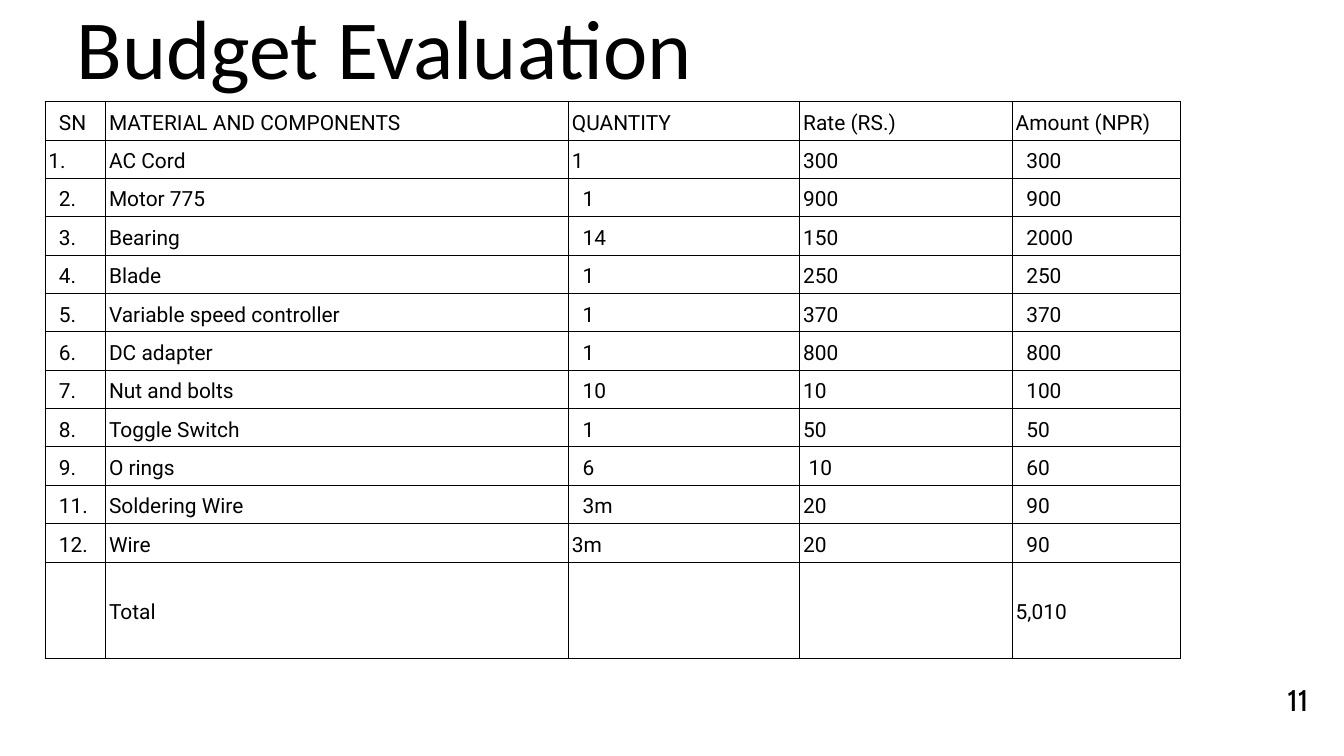
from lxml import etree
from pptx import Presentation
from pptx.dml.color import RGBColor
from pptx.enum.text import MSO_ANCHOR, PP_ALIGN
from pptx.oxml.ns import qn
from pptx.util import Cm, Pt

MIDDLE = MSO_ANCHOR.MIDDLE
LEFT, CENTER = PP_ALIGN.LEFT, PP_ALIGN.CENTER
BLACK = RGBColor(0, 0, 0)

COLUMN_WIDTHS = (2.29, 17.5, 8.74, 8.03, 6.35)
ITEM_HEIGHT, TOTAL_HEIGHT = 1.45, 3.66
CELL_INSET = 0.13

BUDGET = [
    ("SN", "MATERIAL AND COMPONENTS", "QUANTITY", "Rate (RS.)", "Amount (NPR)"),
    ("1.", "AC Cord", "1", "300", "300"),
    ("2.", "Motor 775", "1", "900", "900"),
    ("3.", "Bearing", "14", "150", "2000"),
    ("4.", "Blade", "1", "250", "250"),
    ("5.", "Variable speed controller", "1", "370", "370"),
    ("6.", "DC adapter", "1", "800", "800"),
    ("7.", "Nut and bolts", "10", "10", "100"),
    ("8.", "Toggle Switch", "1", "50", "50"),
    ("9.", "O rings", "6", "10", "60"),
    ("11.", "Soldering Wire", "3m", "20", "90"),
    ("12.", "Wire", "3m", "20", "90"),
    ("", "Total", "", "", "5,010"),
]

# Column: (rows set in from the left, indent in cm)
INDENTS = {
    0: ((0, *range(2, 12)), 0.4),
    2: (range(2, 11), 0.4),
    3: ((9,), 0.2),
    4: (range(1, 12), 0.4),
}


def style_paragraph(para, font_name, size, line_height):
    para.line_spacing = Pt(line_height)
    para.font.name = font_name
    para.font.size = Pt(size)
    para.font.color.rgb = BLACK


def add_text(page, box, text, font_name, size, line_height, align=LEFT):
    frame = page.shapes.add_textbox(*(Cm(length) for length in box)).text_frame
    frame.word_wrap = True
    frame.margin_left = frame.margin_right = 0
    frame.margin_top = frame.margin_bottom = 0
    para = frame.paragraphs[0]
    para.text = text
    para.alignment = align
    style_paragraph(para, font_name, size, line_height)


def add_borders(cell):
    properties = cell._tc.get_or_add_tcPr()
    for index, side in enumerate(("lnL", "lnR", "lnT", "lnB")):
        line = etree.Element(qn(f"a:{side}"), w=str(Pt(0.75)))
        fill = etree.SubElement(line, qn("a:solidFill"))
        etree.SubElement(fill, qn("a:srgbClr"), val=str(BLACK))
        properties.insert(index, line)


def fill_cell(cell, text, indent):
    cell.fill.background()
    add_borders(cell)
    cell.vertical_anchor = MIDDLE
    cell.margin_left = Cm(CELL_INSET + indent)
    cell.margin_right = cell.margin_top = cell.margin_bottom = Cm(CELL_INSET)
    para = cell.text_frame.paragraphs[0]
    para.text = text
    style_paragraph(para, "Roboto", 22.4, 31.4)


def add_budget_table(page, left, top):
    heights = [ITEM_HEIGHT] * (len(BUDGET) - 1) + [TOTAL_HEIGHT]
    table = page.shapes.add_table(
        len(BUDGET), len(COLUMN_WIDTHS), Cm(left), Cm(top),
        Cm(sum(COLUMN_WIDTHS)), Cm(sum(heights))).table
    table.first_row = table.horz_banding = False
    for column, width in zip(table.columns, COLUMN_WIDTHS):
        column.width = Cm(width)
    for row, height in zip(table.rows, heights):
        row.height = Cm(height)
    for r, entries in enumerate(BUDGET):
        for c, text in enumerate(entries):
            rows, indent = INDENTS.get(c, ((), 0))
            fill_cell(table.cell(r, c), text, indent if r in rows else 0)


def main():
    deck = Presentation()
    deck.slide_width, deck.slide_height = Cm(50.8), Cm(28.58)
    page = deck.slides.add_slide(deck.slide_layouts[6])

    # Cost table
    add_budget_table(page, 1.7, 3.84)
    # Title
    add_text(page, (2.9, 0.46, 26.74, 3.38), "Budget Evaluation", "Calibri", 90, 90)
    # Page number
    add_text(page, (48.06, 25.55, 2, 1.5), "11", "Cabin", 32, 44.8, CENTER)

    deck.save("out.pptx")


if __name__ == "__main__":
    main()
